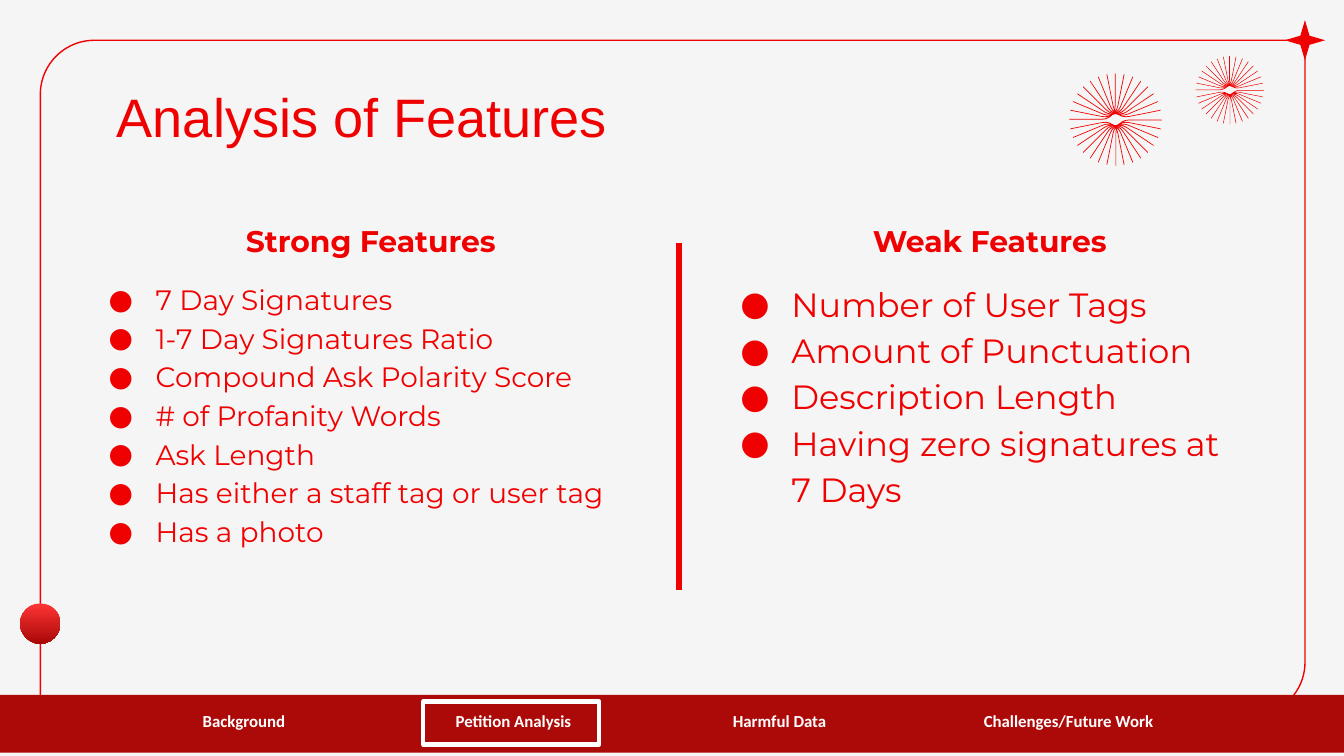
from math import cos, sin, radians

from lxml.etree import SubElement
from pptx import Presentation
from pptx.dml.color import RGBColor
from pptx.enum.shapes import MSO_CONNECTOR, MSO_SHAPE
from pptx.enum.text import MSO_ANCHOR, PP_ALIGN
from pptx.oxml.ns import qn
from pptx.util import Inches, Pt

RED, DARK, WHITE, PAPER = "F00101", "AC0A09", "FFFFFF", "F5F5F5"

TITLE = "Analysis of Features"
STRONG = [
    "7 Day Signatures",
    "1-7 Day Signatures Ratio",
    "Compound Ask Polarity Score",
    "# of Profanity Words",
    "Ask Length",
    "Has either a staff tag or user tag",
    "Has a photo",
]
WEAK = [
    "Number of User Tags",
    "Amount of Punctuation",
    "Description Length",
    "Having zero signatures at",
    "7 Days",
]
# heading, items, number of bulleted items, size, hanging indent, box
LISTS = [
    ("Strong Features", STRONG, 7, 15, 0.35, (0.56, 1.56, 4.4, 3.03)),
    ("Weak Features", WEAK, 4, 18, 0.38, (5.29, 1.56, 4.15, 2.66)),
]
# label, left, width
TABS = [
    ("Background", 1.09, 1.45),
    ("Petition Analysis", 3.09, 1.46),
    ("Harmful Data", 4.98, 1.64),
    ("Challenges/Future Work", 7.05, 1.8),
]
# centre x, centre y, radius
BURSTS = [(8.3, 0.89, 0.34), (9.15, 0.67, 0.25)]


def color(code):
    return RGBColor.from_string(code)


def add_shape(kind, box, fill=None, line=None, width=1):
    shape = slide.shapes.add_shape(kind, *map(Inches, box))
    style(shape, fill, line, width)
    return shape


def style(shape, fill=None, line=None, width=1):
    shape.shadow.inherit = False
    if fill:
        shape.fill.solid()
        shape.fill.fore_color.rgb = color(fill)
    else:
        shape.fill.background()
    if line:
        shape.line.color.rgb = color(line)
        shape.line.width = Pt(width)
    else:
        shape.line.fill.background()


def add_frame(box):
    """Add an empty wrapping text box with even insets."""
    frame = slide.shapes.add_textbox(*map(Inches, box)).text_frame
    frame.word_wrap = True
    frame.margin_left = frame.margin_right = Inches(0.1)
    frame.margin_top = frame.margin_bottom = Inches(0.1)
    return frame


def set_font(para, size, name, code, bold=False):
    for run in para.runs:
        font = run.font
        font.size, font.name, font.bold = Pt(size), name, bold
        font.color.rgb = color(code)


def indent(para, hang, bullet):
    props = para._p.get_or_add_pPr()
    props.set("marL", str(Inches(0.5)))
    props.set("indent", str(-Inches(hang) if bullet else 0))
    if bullet:
        tint = SubElement(props, qn("a:buClr"))
        SubElement(tint, qn("a:srgbClr")).set("val", RED)
        SubElement(props, qn("a:buFont")).set("typeface", "Montserrat")
        SubElement(props, qn("a:buChar")).set("char", "●")
    else:
        SubElement(props, qn("a:buNone"))


def add_list(head, items, count, size, hang, box):
    frame = add_frame(box)
    frame.text = "\n".join([head] + items)
    first, *rest = frame.paragraphs
    first.alignment = PP_ALIGN.CENTER
    set_font(first, 16, "Montserrat", RED, True)
    for i, para in enumerate(rest):
        indent(para, hang, i < count)
        para.line_spacing = 1.15
        if i == 0:
            para.space_before = Pt(10)
        set_font(para, size, "Montserrat", RED)


def add_burst(cx, cy, radius):
    """Draw 32 rays as 16 thin bands, each bending through a right angle."""
    group = slide.shapes.add_group_shape()
    bend, thick = 0.29 * radius, 0.015 * radius
    arc = [radians(t) for t in range(0, 91, 15)]
    # weights of the two ray directions along one band
    track = [(0, radius)]
    track += [(bend * (1 - cos(t)), bend * (1 - sin(t))) for t in arc]
    track += [(radius, 0)]
    band = track + [(a + thick, b + thick) for a, b in reversed(track)]
    for i in range(16):
        turn = radians(i % 8 * 11.25 + i // 8 * 180)
        c, s = cos(turn), sin(turn)
        spots = [
            (Inches(cx + a * c - b * s), Inches(cy + a * s + b * c))
            for a, b in band
        ]
        pen = group.shapes.build_freeform(*spots[0])
        pen.add_line_segments(spots[1:], close=True)
        style(pen.convert_to_shape(), RED)


deck = Presentation()
deck.slide_width = Inches(10)
deck.slide_height = deck.slide_width * 9 // 16
slide = deck.slides.add_slide(deck.slide_layouts[6])
slide.background.fill.solid()
slide.background.fill.fore_color.rgb = color(PAPER)

border = add_shape(MSO_SHAPE.ROUND_2_DIAG_RECTANGLE,
                   (0.3, 0.3, 9.41, 5.03), line=RED, width=0.75)
border.adjustments[0], border.adjustments[1] = 0.08, 0
ball = add_shape(MSO_SHAPE.OVAL, (0.15, 4.49, 0.3, 0.3))
ball.fill.gradient()
ball.fill.gradient_angle = 270
for stop, place, code in zip(ball.fill.gradient_stops, (0, 1),
                             ("FE3535", "A90707")):
    stop.position, stop.color.rgb = place, color(code)
star = add_shape(MSO_SHAPE.STAR_4_POINT, (9.56, 0.15, 0.3, 0.3), RED)
star.adjustments[0] = 0.16
for burst in BURSTS:
    add_burst(*burst)

for part in LISTS:
    add_list(*part)
rule = slide.shapes.add_connector(
    MSO_CONNECTOR.STRAIGHT, *map(Inches, (5.05, 1.81, 5.05, 4.39)))
rule.line.color.rgb, rule.line.width = color(RED), Pt(3)
SubElement(rule._element.spPr, qn("a:effectLst"))

add_shape(MSO_SHAPE.RECTANGLE, (0, 5.17, 10.03, 0.43), DARK)
for label, left, width in TABS:
    frame = add_frame((left, 5.25, width, 0.23))
    frame.vertical_anchor = MSO_ANCHOR.MIDDLE
    frame.text = label
    frame.paragraphs[0].alignment = PP_ALIGN.CENTER
    set_font(frame.paragraphs[0], 9, "Calibri", WHITE, True)
add_shape(MSO_SHAPE.RECTANGLE, (3.15, 5.22, 1.31, 0.32),
          line=WHITE, width=2.25)

title = add_frame((0.77, 0.52, 6.88, 0.75))
title.text = TITLE
set_font(title.paragraphs[0], 29, "Arial", RED)

deck.save("out.pptx")
